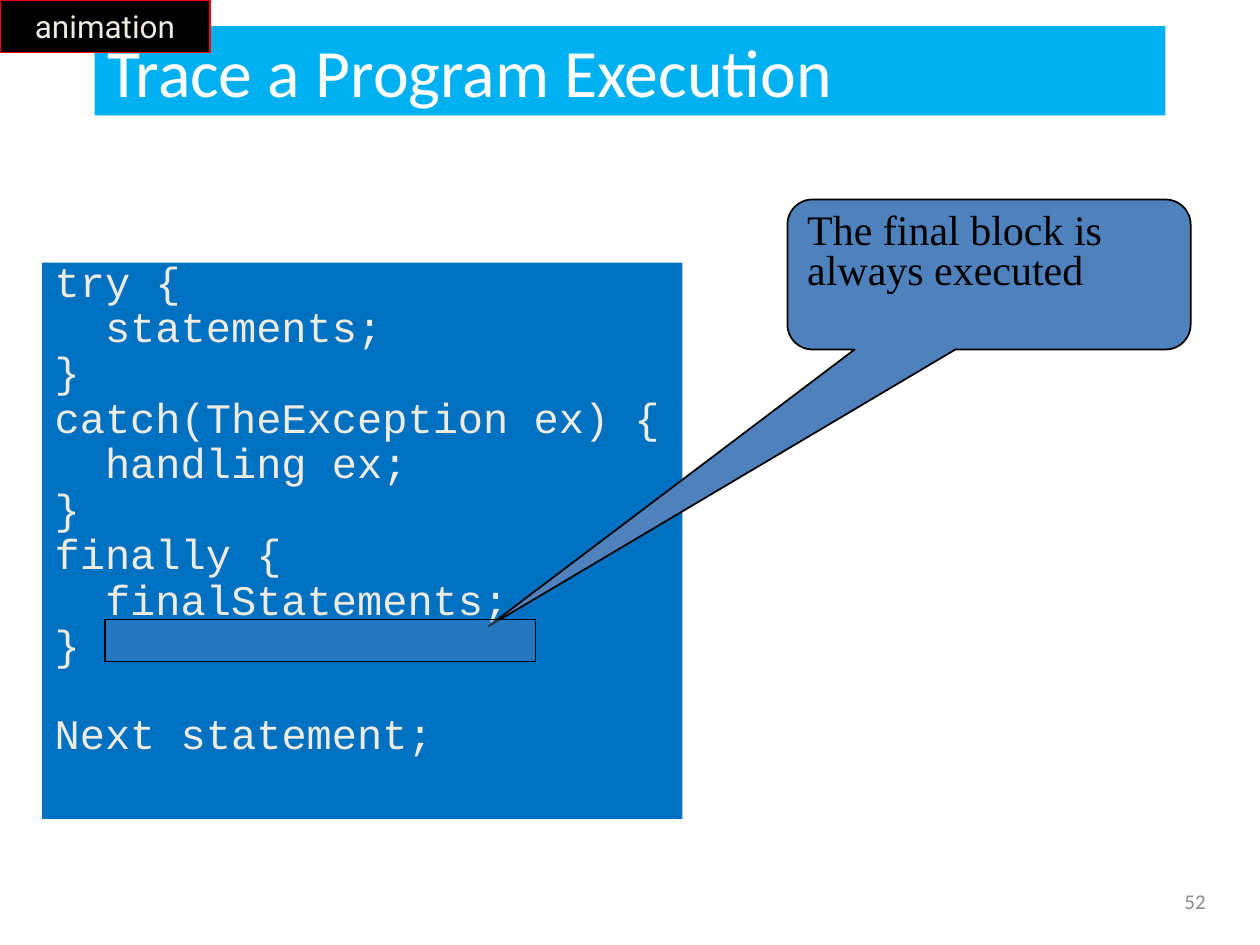
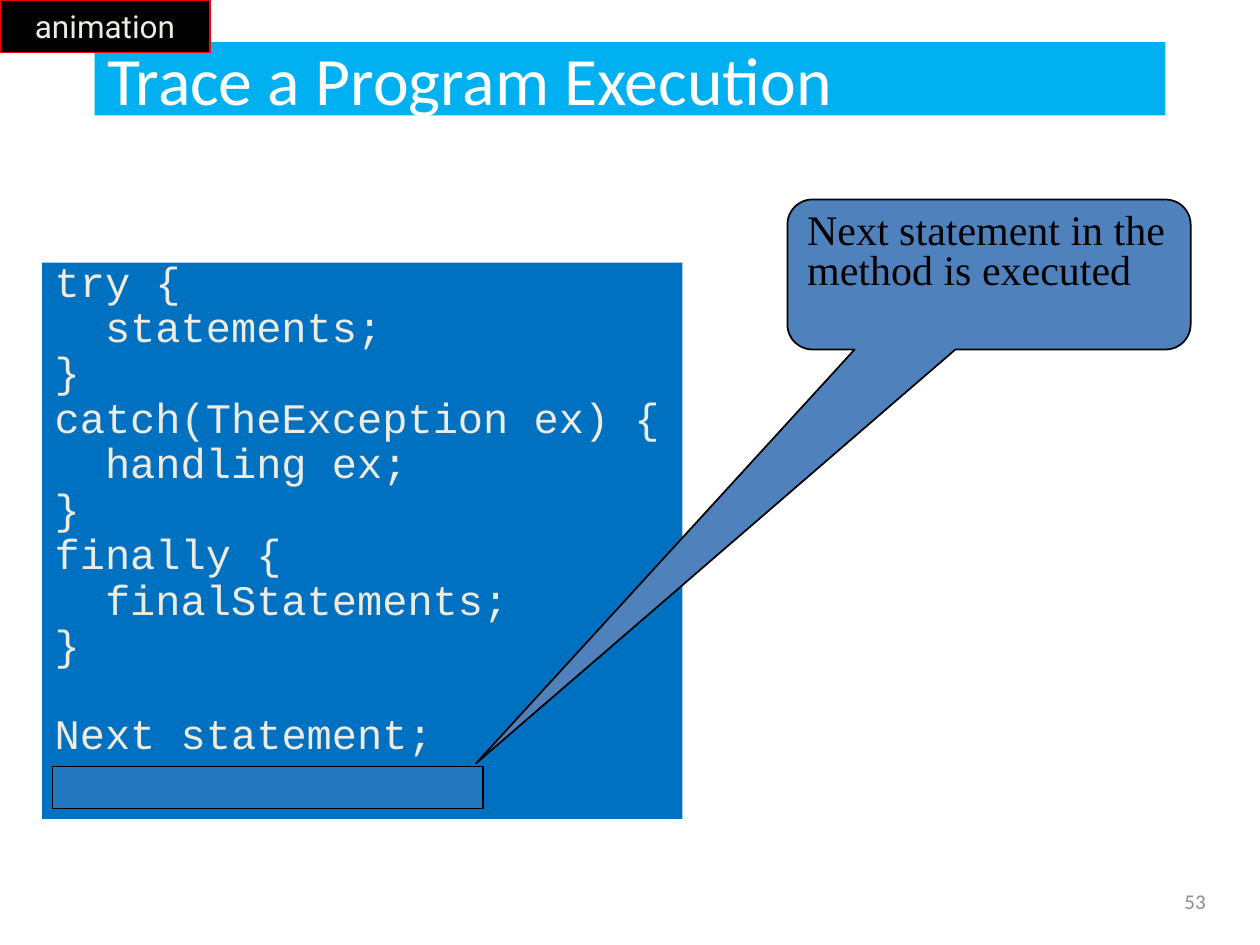
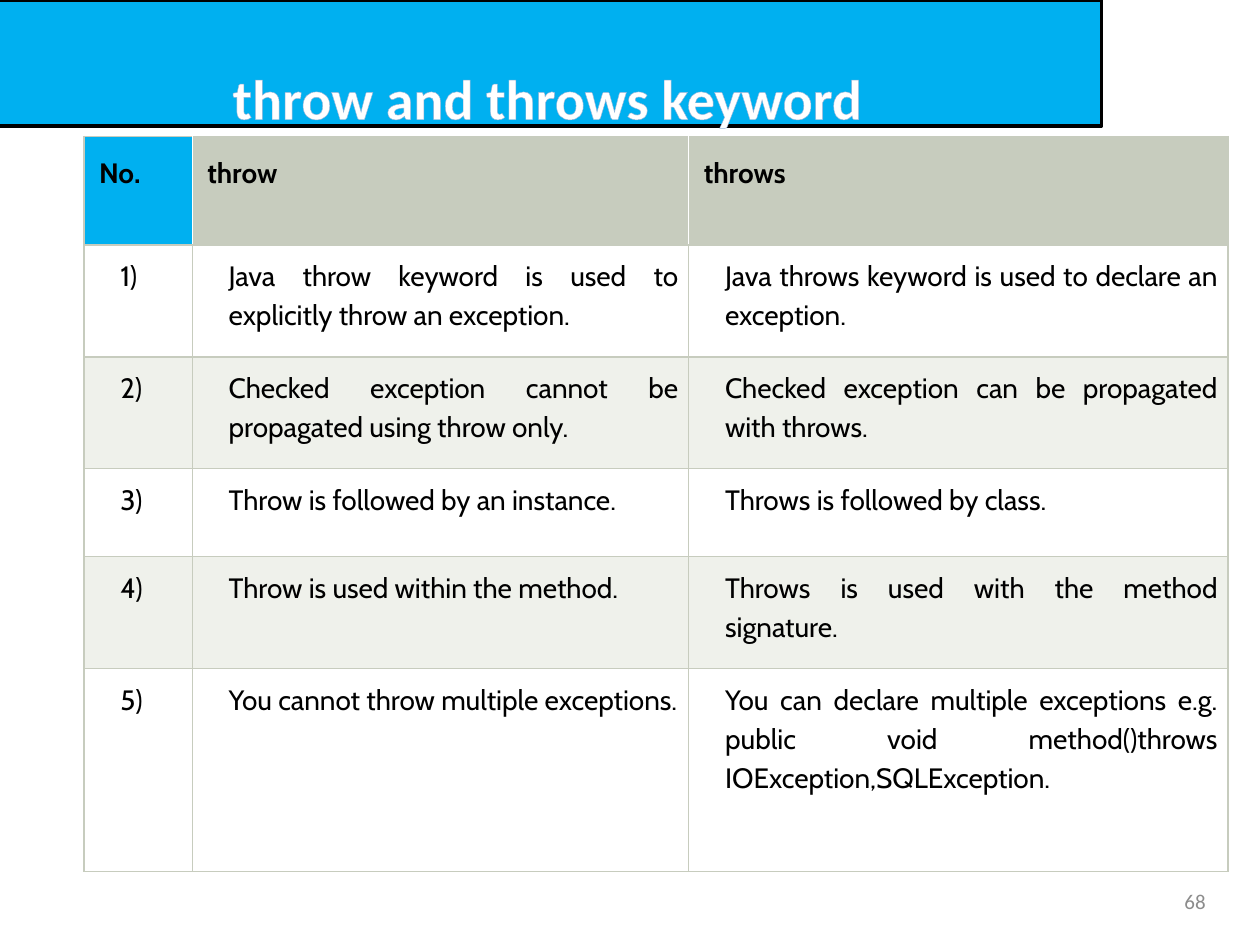
import pptx
import pptx.util
import pptx.dml.color
import pptx.enum.shapes
import pptx.enum.text
import pptx.oxml
import pptx.oxml.ns
import lxml.etree

Pt = pptx.util.Pt
Shape = pptx.enum.shapes.MSO_SHAPE
Align = pptx.enum.text.PP_ALIGN
Mid = pptx.enum.text.MSO_ANCHOR.MIDDLE
Top = pptx.enum.text.MSO_ANCHOR.TOP
Fit = pptx.enum.text.MSO_AUTO_SIZE.NONE
qn = pptx.oxml.ns.qn

SKY, NAVY, BLUE = "00B0F0", "0070C0", "4F81BD"
BLACK, WHITE, CREAM = "000000", "FFFFFF", "EEECE1"
RED, GREY, SAGE, PALE = "FF0000", "8C8C8C", "C7CCBE", "EFF1EB"
PALER = "95B3D7"


def hue(code):
    return pptx.dml.color.RGBColor.from_string(code)


def style(para, face, size, code, align=Align.LEFT, bold=False):
    para.alignment = align
    for run in para.runs:
        run.font.name = face
        run.font.size = Pt(size)
        run.font.bold = bold
        run.font.color.rgb = hue(code)


deck = pptx.Presentation()
deck.slide_width, deck.slide_height = Pt(720), Pt(540)

code = [
    ("try {", 0), ("statements;", 1), ("}", 0),
    ("catch(TheException ex) {", 0), ("handling ex;", 1), ("}", 0),
    ("finally {", 0), ("finalStatements;", 1), ("}", 0),
    ("Next statement;", 0),
]
steps = [
    ("The final block is always executed", 15, 51, (-1.242, 2.347), (60, 354)),
    ("Next statement in the method is executed", 24, 42, (-1.272, 3.259), (30, 438)),
]

for note, top, high, tip, mark in steps:
    slide = deck.slides.add_slide(deck.slide_layouts[1])
    title, body = slide.placeholders
    title.left, title.top, title.width, title.height = Pt(54), Pt(top), Pt(612), Pt(high)
    body.left, body.top, body.width, body.height = Pt(24), Pt(150), Pt(366), Pt(318)

    title.text_frame.text = "Trace a Program Execution"
    title.text_frame.vertical_anchor = Mid
    title.text_frame.auto_size = Fit
    style(title.text_frame.paragraphs[0], "Calibri", 38.7, WHITE)

    frame = body.text_frame
    frame.text = "\n".join(text for text, depth in code)
    frame.auto_size = Fit
    for para, (text, depth) in zip(frame.paragraphs, code):
        style(para, "Courier New", 24, CREAM)
        para.line_spacing = 0.7
        para.space_before = Pt(5.8)
        props = para._p.get_or_add_pPr()
        props.set("marL", str(Pt(28.8 * depth)))
        props.set("indent", "0")
        lxml.etree.SubElement(props, qn("a:buNone"))
    para.space_before = Pt(30.7)

    tag = slide.shapes.add_shape(Shape.RECTANGLE, 0, 0, Pt(120), Pt(30))
    tag.text_frame.text = "animation"
    tag.text_frame.word_wrap = False
    tag.text_frame.vertical_anchor = Mid
    style(tag.text_frame.paragraphs[0], "Roboto", 18, CREAM, Align.CENTER)

    call = slide.shapes.add_shape(
        Shape.ROUNDED_RECTANGULAR_CALLOUT, Pt(450), Pt(114), Pt(230.4), Pt(85.7))
    call.adjustments[0], call.adjustments[1] = tip
    call.text_frame.text = note
    call.text_frame.vertical_anchor = Top
    para = call.text_frame.paragraphs[0]
    style(para, "Times New Roman", 24, BLACK)
    para.line_spacing = 0.8
    para.space_before = Pt(5)

    glow = slide.shapes.add_shape(
        Shape.RECTANGLE, Pt(mark[0]), Pt(mark[1]), Pt(246), Pt(24))

    for shape, fill, edge in [(title, SKY, None), (body, NAVY, None),
                              (tag, BLACK, RED), (call, BLUE, BLACK), (glow, BLUE, BLACK)]:
        shape.fill.solid()
        shape.fill.fore_color.rgb = hue(fill)
        if edge:
            shape.shadow.inherit = False
            shape.line.color.rgb = hue(edge)
            shape.line.width = Pt(1)
    tint = glow._element.spPr.find(qn("a:solidFill"))[0]
    lxml.etree.SubElement(tint, qn("a:alpha"), val="45000")

slide = deck.slides.add_slide(deck.slide_layouts[5])
title = slide.shapes.title
title.left, title.top, title.width, title.height = Pt(-3.6), 0, Pt(633), Pt(72)
title.fill.solid()
title.fill.fore_color.rgb = hue(SKY)
title.line.color.rgb = hue(BLACK)
title.line.width = Pt(2)
frame = title.text_frame
frame.text = "throw and throws keyword"
frame.auto_size = Fit
frame.vertical_anchor = Mid
frame.margin_top, frame.margin_bottom = Pt(39), 0
style(frame.paragraphs[0], "Calibri", 32, WHITE, Align.CENTER, True)
rim = pptx.oxml.parse_xml(
    f'<a:ln {pptx.oxml.ns.nsdecls("a")} w="{Pt(0.75)}">'
    f'<a:solidFill><a:srgbClr val="{PALER}"/></a:solidFill></a:ln>')
frame.paragraphs[0].runs[0]._r.rPr.insert(0, rim)

rows = [
    ("No.", "throw", "throws"),
    ("1)", "Java throw keyword is used to explicitly throw an exception.",
     "Java throws keyword is used to declare an exception."),
    ("2)", "Checked exception cannot be propagated using throw only.",
     "Checked exception can be propagated with throws."),
    ("3)", "Throw is followed by an instance.", "Throws is followed by class."),
    ("4)", "Throw is used within the method.",
     "Throws is used with the method signature."),
    ("5)", "You cannot throw multiple exceptions.",
     "You can declare multiple exceptions e.g. public void method()throws "
     "IOException,SQLException."),
]
wides = [61.9, 283.7, 308.2]
highs = [61.9, 64, 64, 50.2, 64, 116]
grid = slide.shapes.add_table(
    len(rows), len(wides), Pt(48), Pt(78), Pt(sum(wides)), Pt(sum(highs))).table
grid.first_row = grid.horz_banding = False
for col, wide in zip(grid.columns, wides):
    col.width = Pt(wide)
for r, texts in enumerate(rows):
    grid.rows[r].height = Pt(highs[r])
    head = r == 0
    for c, text in enumerate(texts):
        cell = grid.cell(r, c)
        cell.text_frame.text = text
        pad = Pt(8.6 if head else 5.8)
        cell.margin_left = cell.margin_right = cell.margin_top = cell.margin_bottom = pad
        para = cell.text_frame.paragraphs[0]
        style(para, "Cabin", 16, BLACK, Align.JUSTIFY, head)
        para.line_spacing = 1.15
        if not head:
            para._p.get_or_add_pPr().set("marL", str(Pt(15)))
        props = cell._tc.get_or_add_tcPr()
        sides = ["lnL", "lnR", "lnT", "lnB"]
        if head:
            sides = ["lnL"] * (c == 0) + ["lnR"] * (c == 2) + ["lnT", "lnB"]
        for side in sides:
            edge = lxml.etree.SubElement(props, qn("a:" + side), w=str(Pt(1)))
            paint = lxml.etree.SubElement(edge, qn("a:solidFill"))
            lxml.etree.SubElement(paint, qn("a:srgbClr"), val=SAGE)
        cell.fill.solid()
        band = (SAGE if c else SKY) if head else (WHITE if r % 2 else PALE)
        cell.fill.fore_color.rgb = hue(band)

for slide, page in zip(deck.slides, ["52", "53", "68"]):
    foot = slide.shapes.add_textbox(Pt(528), Pt(500.5), Pt(168), Pt(28.8))
    foot.text_frame.text = page
    foot.text_frame.word_wrap = True
    foot.text_frame.vertical_anchor = Mid
    style(foot.text_frame.paragraphs[0], "Calibri", 12, GREY, Align.RIGHT)

deck.save("out.pptx")
